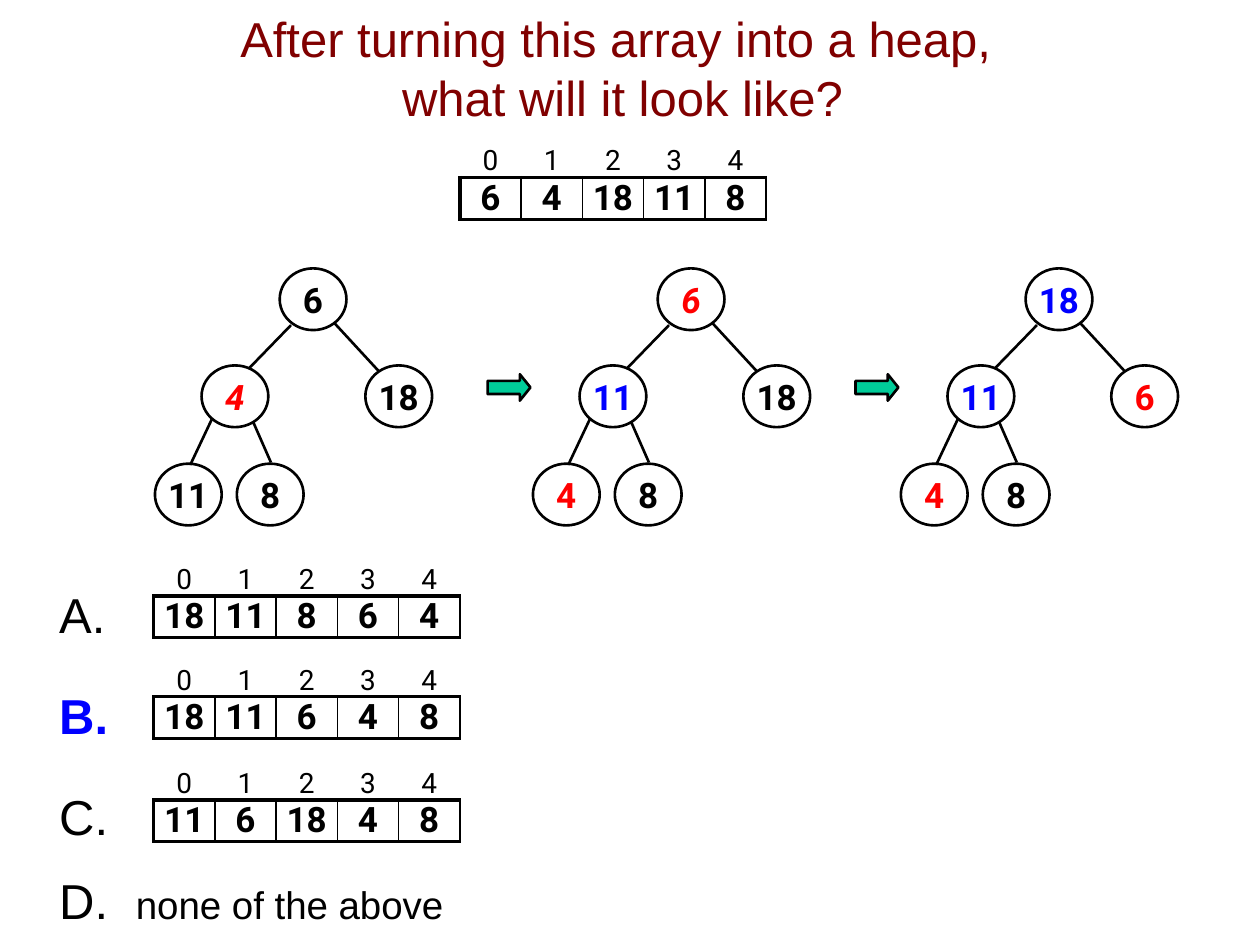
from lxml import etree
from pptx import Presentation
from pptx import util as u
from pptx.dml.color import RGBColor
from pptx.enum import shapes, text
from pptx.oxml import ns

BLACK = RGBColor(0x00, 0x00, 0x00)
MAROON = RGBColor(0x80, 0x00, 0x00)
RED = RGBColor(0xFF, 0x00, 0x00)
BLUE = RGBColor(0x00, 0x00, 0xFF)
GREEN = RGBColor(0x00, 0xCC, 0x99)

LINE_PITCH = u.Pt(33.7)
CELL_WIDTH = 0.486
ROW_HEIGHTS = (0.32, 0.33)
NODE_WIDTH, NODE_HEIGHT = 0.53, 0.49
NODE_PLACES = [(0.99, 2.13), (0.37, 2.9), (1.67, 2.9), (0, 3.68), (0.65, 3.68)]
BRANCHES = [
    (1.08, 2.58, 0.75, 2.92),
    (1.42, 2.56, 1.78, 2.95),
    (0.45, 3.33, 0.28, 3.69),
    (0.78, 3.35, 0.92, 3.67),
]
ARRAYS = [
    (3.65, 1.09, (6, 4, 18, 11, 8)),
    (1.22, 4.41, (18, 11, 8, 6, 4)),
    (1.22, 5.21, (18, 11, 6, 4, 8)),
    (1.22, 6.03, (11, 6, 18, 4, 8)),
]
PLAIN, SINKING, MOVED, RISEN = (
    (BLACK, False), (RED, True), (RED, False), (BLUE, False))
TREES = [
    (1.23, [(6, PLAIN), (4, SINKING), (18, PLAIN), (11, PLAIN), (8, PLAIN)]),
    (4.23, [(6, SINKING), (11, RISEN), (18, PLAIN), (4, MOVED), (8, PLAIN)]),
    (7.15, [(18, RISEN), (11, RISEN), (6, MOVED), (4, MOVED), (8, PLAIN)]),
]
OPTIONS = [
    ("A.", 0, BLACK, False),
    ("B.", 24, BLUE, True),
    ("C.", 24, BLACK, False),
    ("D.\t ", 14, BLACK, False),
]


def inches(*lengths):
    return [u.Inches(length) for length in lengths]


def format_run(run, size, color, face="Arial", bold=False, italic=False):
    font = run.font
    font.name, font.size = face, u.Pt(size)
    font.bold, font.italic = bold, italic
    font.color.rgb = color


def place(part, left, top, width, height):
    part.left, part.top, part.width, part.height = inches(left, top, width, height)
    part.text_frame.auto_size = text.MSO_AUTO_SIZE.NONE
    part.text_frame.word_wrap = True


def outline(part):
    part.line.color.rgb = BLACK
    part.line.width = u.Pt(1.5)


def add_question(slide):
    question = slide.shapes.title
    place(question, 0.64, 0.07, 8.6, 0.93)
    question.text_frame.vertical_anchor = text.MSO_ANCHOR.MIDDLE
    wording = question.text_frame.paragraphs[0]
    wording.text = "After turning this array into a heap, \vwhat will it look like?"
    wording.alignment = text.PP_ALIGN.CENTER
    wording.line_spacing = LINE_PITCH
    for run in wording.runs:
        format_run(run, 28, MAROON)


def set_tab(paragraph, position):
    props = paragraph._p.get_or_add_pPr()
    props.set("marL", "0")
    props.set("indent", "0")
    etree.SubElement(props, ns.qn("a:buNone"))
    tabs = etree.SubElement(props, ns.qn("a:tabLst"))
    etree.SubElement(tabs, ns.qn("a:tab"), pos=str(u.Inches(position)), algn="l")


def add_options(slide):
    choices = slide.placeholders[1]
    place(choices, 0.37, 4.59, 9.63, 2.85)
    frame = choices.text_frame
    frame.vertical_anchor = text.MSO_ANCHOR.TOP
    frame.text = "\n".join(option[0] for option in OPTIONS)
    for paragraph, (_, gap, color, bold) in zip(frame.paragraphs, OPTIONS):
        paragraph.line_spacing = LINE_PITCH
        paragraph.space_before = u.Pt(gap)
        paragraph.space_after = u.Pt(0)
        set_tab(paragraph, 0.47)
        format_run(paragraph.runs[0], 28, color, bold=bold)
    answer = frame.paragraphs[-1].add_run()
    answer.text = "none of the above"
    format_run(answer, 22, BLACK)


def set_borders(cell, widths):
    props = cell._tc.get_or_add_tcPr()
    for side, width in zip("LRTB", widths):
        border = etree.SubElement(props, ns.qn(f"a:ln{side}"), w=str(u.Pt(width)))
        if width:
            fill = etree.SubElement(border, ns.qn("a:solidFill"))
            etree.SubElement(fill, ns.qn("a:srgbClr"), val=str(BLACK))
        else:
            etree.SubElement(border, ns.qn("a:noFill"))
    cell.fill.background()


def fill_cell(cell, value, size, bold, margins, anchor, borders):
    cell.margin_left, cell.margin_top, cell.margin_right, cell.margin_bottom = inches(*margins)
    cell.vertical_anchor = anchor
    paragraph = cell.text_frame.paragraphs[0]
    paragraph.text = str(value)
    paragraph.alignment = text.PP_ALIGN.CENTER
    format_run(paragraph.runs[0], size, BLACK, "Roboto", bold)
    set_borders(cell, borders)


def add_array(slide, left, top, values):
    count = len(values)
    array = slide.shapes.add_table(
        2, count, *inches(left, top, count * CELL_WIDTH, sum(ROW_HEIGHTS))).table
    array.first_row = array.horz_banding = False
    for row, height in zip(array.rows, ROW_HEIGHTS):
        row.height = u.Inches(height)
    for index, value in enumerate(values):
        array.columns[index].width = u.Inches(CELL_WIDTH)
        fill_cell(array.cell(0, index), index, 16, False, (0.1, 0.05, 0.1, 0),
                  text.MSO_ANCHOR.BOTTOM, (0, 0, 0, 2.25))
        fill_cell(array.cell(1, index), value, 20, True, (0, 0, 0, 0),
                  text.MSO_ANCHOR.TOP, (1 if index else 2.25, 1, 2.25, 2.25))


def add_node(slide, left, top, value, color, italic):
    node = slide.shapes.add_shape(
        shapes.MSO_SHAPE.OVAL, *inches(left, top, NODE_WIDTH, NODE_HEIGHT))
    node.shadow.inherit = False
    node.fill.background()
    outline(node)
    frame = node.text_frame
    frame.margin_left = frame.margin_top = frame.margin_right = frame.margin_bottom = 0
    frame.vertical_anchor = text.MSO_ANCHOR.MIDDLE
    frame.text = str(value)
    frame.paragraphs[0].alignment = text.PP_ALIGN.CENTER
    format_run(frame.paragraphs[0].runs[0], 20, color, "Roboto", True, italic)


def add_branch(slide, *ends):
    branch = slide.shapes.add_connector(shapes.MSO_CONNECTOR.STRAIGHT, *inches(*ends))
    outline(branch)
    etree.SubElement(branch._element.spPr, ns.qn("a:effectLst"))


def add_tree(slide, left, nodes):
    for (x, y), (value, (color, italic)) in zip(NODE_PLACES, nodes):
        add_node(slide, left + x, y, value, color, italic)
    for x1, y1, x2, y2 in BRANCHES:
        add_branch(slide, left + x1, y1, left + x2, y2)


def add_step(slide, left):
    step = slide.shapes.add_shape(
        shapes.MSO_SHAPE.RIGHT_ARROW, *inches(left, 2.97, 0.34, 0.21))
    step.adjustments[0], step.adjustments[1] = 0.5, 0.4
    step.shadow.inherit = False
    step.fill.solid()
    step.fill.fore_color.rgb = GREEN
    outline(step)


def main():
    deck = Presentation()
    deck.slide_width, deck.slide_height = inches(10, 7.5)
    slide = deck.slides.add_slide(deck.slide_layouts[1])
    add_question(slide)
    add_options(slide)
    for left, top, values in ARRAYS:
        add_array(slide, left, top, values)
    for left, nodes in TREES:
        add_tree(slide, left, nodes)
    for left, _ in TREES[1:]:
        add_step(slide, left - 0.36)
    deck.save("out.pptx")


if __name__ == "__main__":
    main()
